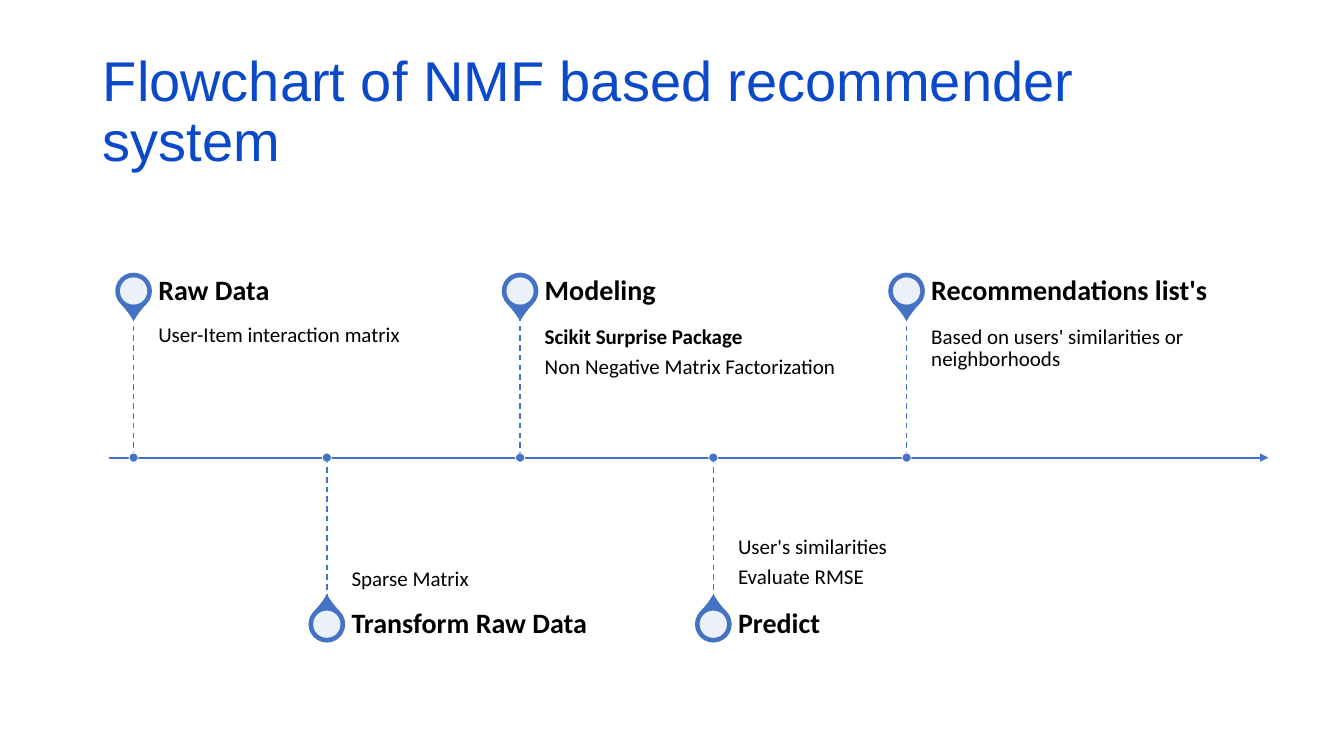
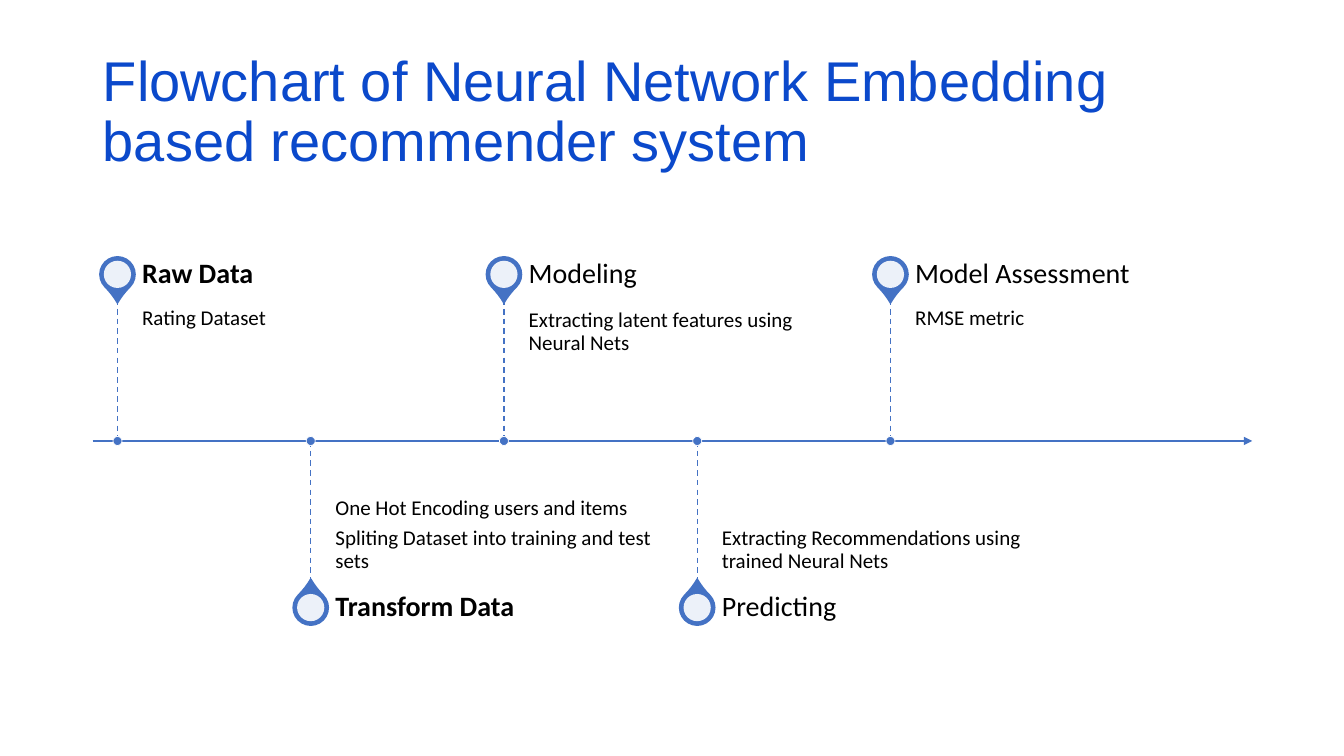
from lxml import etree
from pptx import Presentation
from pptx.dml.color import RGBColor
from pptx.enum.dml import MSO_LINE
from pptx.enum.shapes import MSO_CONNECTOR, MSO_SHAPE
from pptx.enum.text import MSO_ANCHOR, MSO_AUTO_SIZE, PP_ALIGN
from pptx.oxml.ns import qn
from pptx.util import Inches, Pt

# Colours
BLUE = RGBColor(0x44, 0x72, 0xC4)
TITLE = RGBColor(0x0B, 0x49, 0xCB)
BLACK = RGBColor(0, 0, 0)
WHITE = RGBColor(255, 255, 255)

# Enum members
DASH = MSO_LINE.DASH
LINE = MSO_CONNECTOR.STRAIGHT
DROP, OVAL = MSO_SHAPE.TEAR, MSO_SHAPE.OVAL
TOP, MID, LOW = MSO_ANCHOR.TOP, MSO_ANCHOR.MIDDLE, MSO_ANCHOR.BOTTOM
LEFT = PP_ALIGN.LEFT
FIXED = MSO_AUTO_SIZE.NONE

# Slide and timeline measures, in inches
WIDE, HIGH = 13.33, 7.5
HEAD = (0.92, 0.4, 11.5, 1.45)
COLS = 6
STEM = 0.37     # share of the timeline's height
LABEL = 0.13    # share of the timeline's height
GAP = 0.245     # stem to text, and axis start to first stem
PIN, HOLE, DOT = 0.35, 0.27, 0.09

# Text formats
HEAD_FONT = {"name": "Arial", "size": Pt(40)}
NAME_FONT = {"name": "Calibri", "size": Pt(20)}
NOTE_FONT = {"name": "Calibri", "size": Pt(15)}

# Each step: name, name is bold, notes as (text, bold)
SLIDES = [
    ("Flowchart of NMF based recommender system", (1.08, 2.64, 11.5, 3.8), [
        ("Raw Data", True, [("User-Item interaction matrix", False)]),
        ("Transform Raw Data", True, [("Sparse Matrix", False)]),
        ("Modeling", True, [("Scikit Surprise Package", True),
                            ("Non Negative Matrix Factorization", False)]),
        ("Predict", True, [("User's similarities", False),
                           ("Evaluate RMSE", False)]),
        ("Recommendations list's", True,
         [("Based on users' similarities or neighborhoods", False)]),
    ]),
    ("Flowchart of Neural Network Embedding based recommender system",
     (0.92, 2.475, 11.5, 3.8), [
         ("Raw Data", True, [("Rating Dataset", False)]),
         ("Transform Data", True,
          [("One Hot Encoding users and items", False),
           ("Spliting Dataset into training and test sets", False)]),
         ("Modeling", False,
          [("Extracting latent features using Neural Nets", False)]),
         ("Predicting", False,
          [("Extracting Recommendations using trained Neural Nets", False)]),
         ("Model Assessment", False, [("RMSE metric", False)]),
     ]),
]


def style(item, form):
    for key, value in form.items():
        setattr(item, key, value)


def add_title(slide, text):
    head = slide.shapes.title
    style(head, dict(zip(("left", "top", "width", "height"),
                         map(Inches, HEAD))))
    frame = head.text_frame
    style(frame, {"text": text, "auto_size": FIXED, "word_wrap": True,
                  "vertical_anchor": MID})
    para = frame.paragraphs[0]
    style(para, {"alignment": LEFT, "line_spacing": 0.9})
    style(para.runs[0].font, HEAD_FONT)
    para.runs[0].font.color.rgb = TITLE


def add_line(slide, start, end, form, arrow=False):
    line = slide.shapes.add_connector(LINE, *map(Inches, start + end))
    line.line.color.rgb = BLUE
    style(line.line, form)
    if arrow:
        etree.SubElement(line.line._get_or_add_ln(), qn("a:tailEnd"),
                         type="triangle")
    etree.SubElement(line._element.spPr, qn("a:effectLst"))


def add_mark(slide, kind, x, y, size, fill, edge=None, width=1):
    """Place a shape of the given size centred on x, y."""
    mark = slide.shapes.add_shape(kind, Inches(x - size / 2),
                                  Inches(y - size / 2),
                                  Inches(size), Inches(size))
    mark.shadow.inherit = False
    mark.fill.solid()
    mark.fill.fore_color.rgb = fill
    if edge is None:
        mark.line.fill.background()
    else:
        mark.line.color.rgb = edge
        mark.line.width = Pt(width)
    return mark


def add_text(slide, box, lines, font, anchor, pads):
    frame = slide.shapes.add_textbox(*map(Inches, box)).text_frame
    style(frame, {"word_wrap": True, "vertical_anchor": anchor})
    sides = ("margin_left", "margin_top", "margin_right", "margin_bottom")
    style(frame, dict(zip(sides, map(Inches, pads))))
    for i, (text, bold) in enumerate(lines):
        para = frame.add_paragraph() if i else frame.paragraphs[0]
        style(para, {"line_spacing": 0.9, "space_after": int(font["size"] * 0.35)})
        run = para.add_run()
        run.text = text
        style(run.font, {**font, "bold": bold})
        run.font.color.rgb = BLACK


def add_pin(slide, x, y, above):
    pin = add_mark(slide, DROP, x, y, PIN, BLUE, BLUE)
    pin.adjustments[0] = 1.15
    pin.rotation = 135 if above else 315
    hole = add_mark(slide, OVAL, x, y, HOLE, WHITE)
    tone = hole._element.spPr.find(qn("a:solidFill"))[0]
    etree.SubElement(tone, qn("a:alpha"), val="90000")


def add_step(slide, x, axis, width, high, above, step):
    """Place one step on the axis, its stem at x."""
    name, bold, notes = step
    stem, label = high * STEM, high * LABEL
    end = axis - stem if above else axis + stem
    top = end - label if above else end
    add_pin(slide, x, top + label / 2, above)
    add_text(slide, (x + GAP, end if above else axis, width, stem), notes,
             NOTE_FONT, TOP if above else LOW,
             (0, 0.1, 0.1, 0.16) if above else (0, 0.16, 0, 0.1))
    add_text(slide, (x + GAP, top, width, label), [(name, bold)],
             NAME_FONT, MID, (0, 0, 0.14, 0))
    add_line(slide, (x, min(axis, end)), (x, max(axis, end)),
             {"width": Pt(1), "dash_style": DASH})
    add_mark(slide, OVAL, x, axis, DOT, BLUE, WHITE, 0.5)


def add_flow(slide, box, steps):
    """Steps alternate above and below the axis across the box."""
    left, top, width, high = box
    axis, col = top + high / 2, width / COLS
    add_line(slide, (left, axis), (left + width, axis),
             {"width": Pt(1.5)}, arrow=True)
    for i, step in enumerate(steps):
        add_step(slide, left + GAP + i * col, axis, col * 5 / 3, high,
                 i % 2 == 0, step)


def main():
    deck = Presentation()
    deck.slide_width, deck.slide_height = Inches(WIDE), Inches(HIGH)
    for title, box, steps in SLIDES:
        slide = deck.slides.add_slide(deck.slide_layouts[5])
        add_title(slide, title)
        add_flow(slide, box, steps)
    deck.save("out.pptx")


if __name__ == "__main__":
    main()
